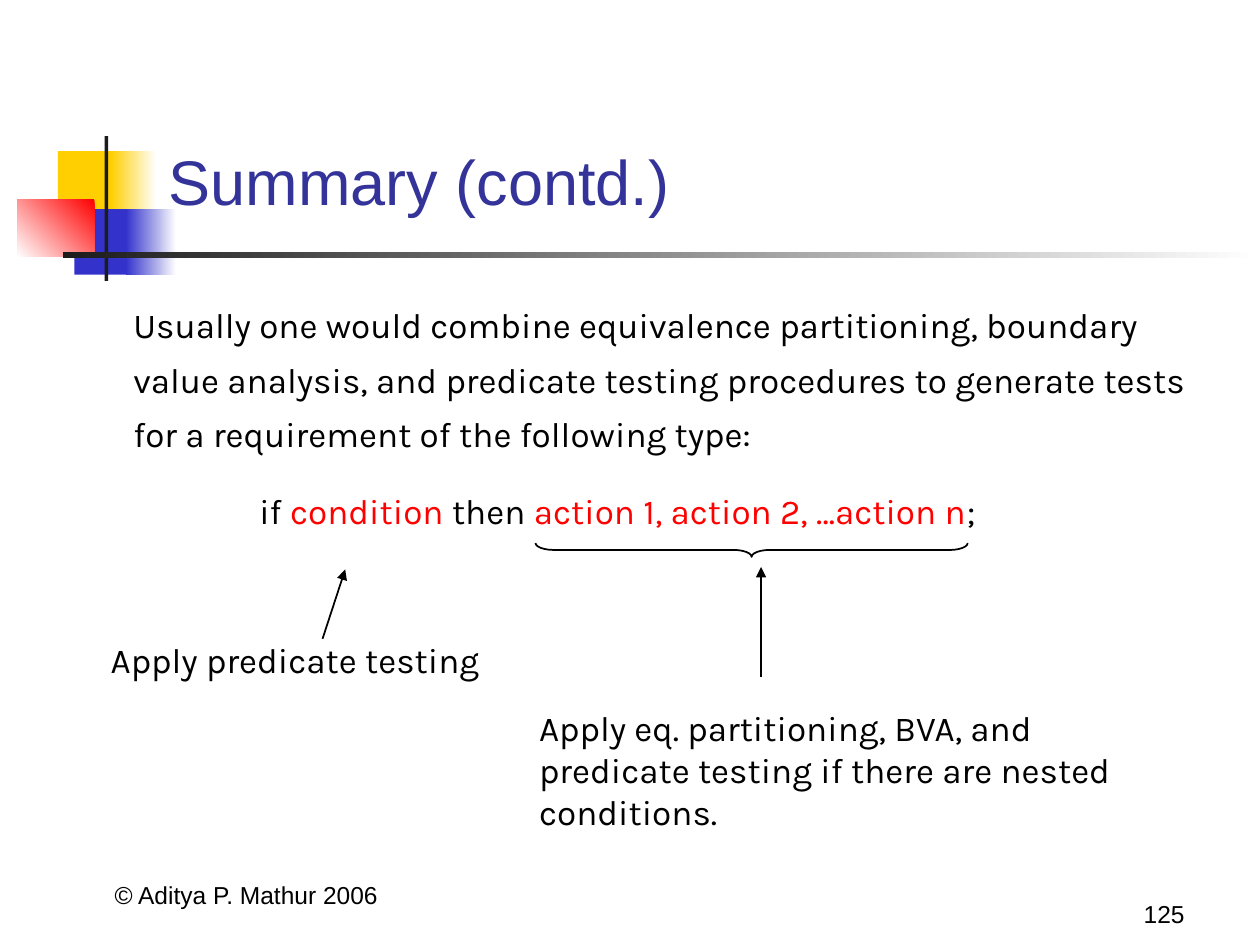
from lxml import etree
from pptx import Presentation
from pptx.dml.color import RGBColor
from pptx.enum.shapes import MSO_CONNECTOR, MSO_SHAPE
from pptx.enum.text import MSO_ANCHOR, PP_ALIGN
from pptx.oxml.ns import qn
from pptx.util import Inches, Pt

RECTANGLE = MSO_SHAPE.RECTANGLE
RIGHT_BRACE = MSO_SHAPE.RIGHT_BRACE
STRAIGHT = MSO_CONNECTOR.STRAIGHT
TOP, BOTTOM = MSO_ANCHOR.TOP, MSO_ANCHOR.BOTTOM
LEFT, CENTER, RIGHT = PP_ALIGN.LEFT, PP_ALIGN.CENTER, PP_ALIGN.RIGHT

BLACK, WHITE, RED = "000000", "FFFFFF", "FF0000"
YELLOW, BLUE, CHARCOAL, NAVY = "FFCF01", "3333CC", "1C1C1C", "333399"


def color(value):
    return RGBColor.from_string(value)


def add_block(page, box, colors, angle=180):
    shape = page.shapes.add_shape(RECTANGLE, *map(Inches, box))
    shape.shadow.inherit = False
    shape.line.fill.background()
    if len(colors) == 1:
        shape.fill.solid()
        shape.fill.fore_color.rgb = color(colors[0])
        return
    shape.fill.gradient()
    shape.fill.gradient_angle = angle
    for stop, value in zip(shape.fill.gradient_stops, colors):
        stop.color.rgb = color(value)


def add_text_frame(page, box, anchor=TOP, wrap=True):
    frame = page.shapes.add_textbox(*map(Inches, box)).text_frame
    frame.word_wrap = wrap
    frame.vertical_anchor = anchor
    return frame


def add_spans(para, spans, size=20, font="Karla"):
    for text, value in spans:
        span = para.add_run()
        span.text = text
        span.font.size = Pt(size)
        span.font.name = font
        span.font.color.rgb = color(value)


def add_arrow(page, start, end):
    arrow = page.shapes.add_connector(STRAIGHT, *map(Inches, start + end))
    arrow.line.color.rgb = color(BLACK)
    arrow.line.width = Pt(1)
    etree.SubElement(arrow.line._get_or_add_ln(), qn("a:tailEnd"), type="triangle")
    etree.SubElement(arrow._element.spPr, qn("a:effectLst"))


def add_ornament(page, left, top):
    blocks = [
        ((0.32, 0.12, 0.48, 0.52), [YELLOW], 0),
        ((0.74, 0.12, 0.36, 0.52), [WHITE, YELLOW], 180),
        ((0.45, 0.58, 0.46, 0.52), [BLUE], 0),
        ((0.86, 0.58, 0.4, 0.52), [WHITE, BLUE], 180),
        ((0, 0.5, 0.61, 0.46), [RED, WHITE], 225),
        ((0.69, 0, 0.03, 1.15), [CHARCOAL], 0),
        ((0.36, 0.92, 9.5, 0.05), [WHITE, CHARCOAL], 180),
    ]
    for (x, y, width, height), colors, angle in blocks:
        add_block(page, (left + x, top + y, width, height), colors, angle)


def add_heading(page, box, text, size, value, align=LEFT):
    para = add_text_frame(page, box, BOTTOM).paragraphs[0]
    para.alignment = align
    add_spans(para, [(text, value)], size, "Arial")


def add_body(page, box):
    frame = add_text_frame(page, box)
    intro = frame.paragraphs[0]
    intro.line_spacing = 1.3
    add_spans(intro, [(
        "Usually one would combine equivalence partitioning, boundary value "
        "analysis, and predicate testing procedures to generate tests for a "
        "requirement of the following type:", BLACK)])
    rule = frame.add_paragraph()
    rule.line_spacing = 1.3
    rule.space_before = Pt(12.5)
    rule._p.get_or_add_pPr().set("marL", str(Inches(1)))
    add_spans(rule, [
        ("if ", BLACK),
        ("condition", RED),
        (" then ", BLACK),
        ("action 1, action 2, …action n", RED),
        (";", BLACK),
    ])


def add_note(page, box, text, start, end, wrap=True):
    frame = add_text_frame(page, box, wrap=wrap)
    add_spans(frame.paragraphs[0], [(text, BLACK)])
    add_arrow(page, start, end)


def add_brace(page, left, top, width, height):
    brace = page.shapes.add_shape(
        RIGHT_BRACE,
        Inches(left + (width - height) / 2), Inches(top + (height - width) / 2),
        Inches(height), Inches(width))
    brace.rotation = 90
    brace.adjustments[0] = 1.3
    brace.shadow.inherit = False
    brace.fill.background()
    brace.line.color.rgb = color(BLACK)
    brace.line.width = Pt(1)


def main():
    deck = Presentation()
    deck.slide_width, deck.slide_height = Inches(10), Inches(7.5)
    page = deck.slides.add_slide(deck.slide_layouts[6])
    add_ornament(page, 0.14, 1.08)
    add_heading(page, (0.37, 6.77, 3.17, 0.5), "© Aditya P. Mathur 2006", 14, BLACK, CENTER)
    add_heading(page, (7.42, 6.92, 2.08, 0.5), "125", 14, BLACK, RIGHT)
    add_heading(page, (1.24, 1.07, 8.52, 0.71), "Summary (contd.)", 36, NAVY)
    add_body(page, (0.96, 2.26, 8.57, 2.01))
    add_note(page, (0.78, 5.02, 3.22, 0.44), "Apply predicate testing",
             (2.56, 5.07), (2.74, 4.52), wrap=False)
    add_note(page, (4.18, 5.56, 5.2, 1.1),
             "Apply eq. partitioning, BVA, and predicate testing if there are "
             "nested conditions.", (6.04, 5.37), (6.04, 4.5))
    add_brace(page, 4.25, 4.31, 3.43, 0.11)
    deck.save("out.pptx")


if __name__ == "__main__":
    main()
